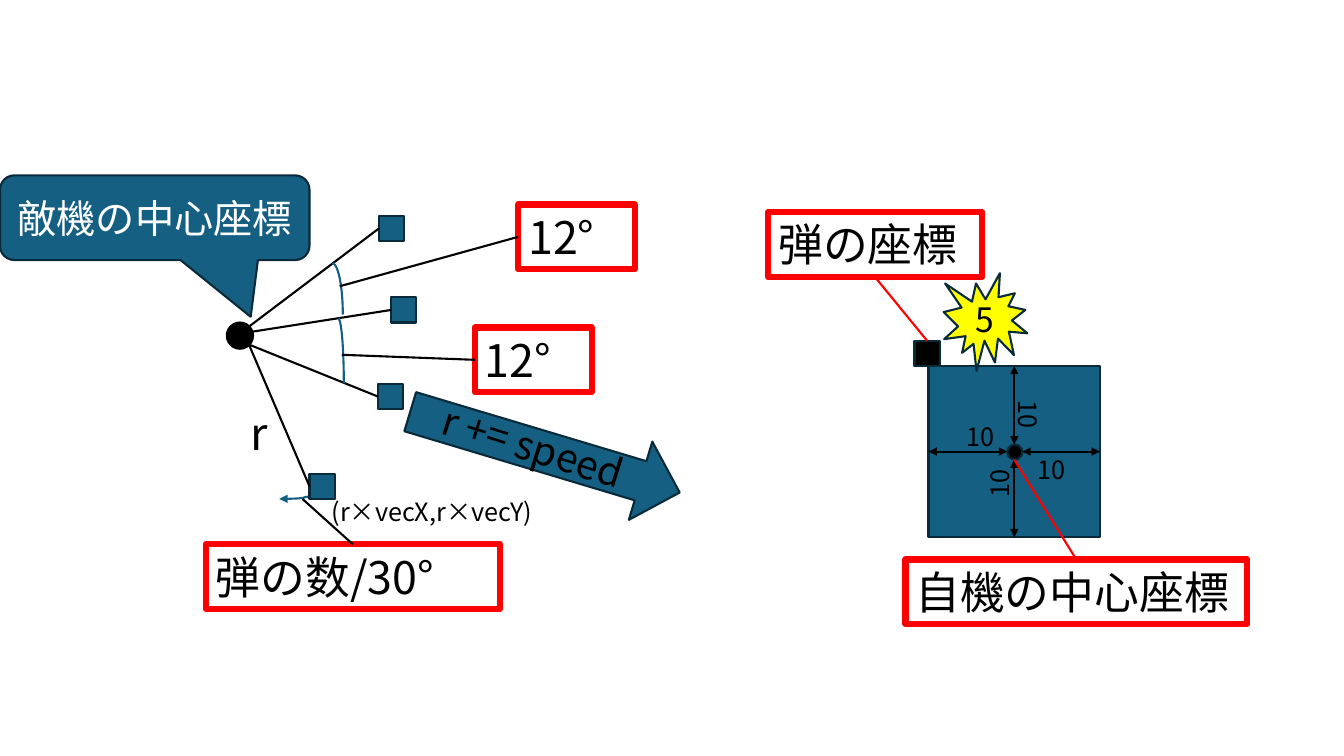
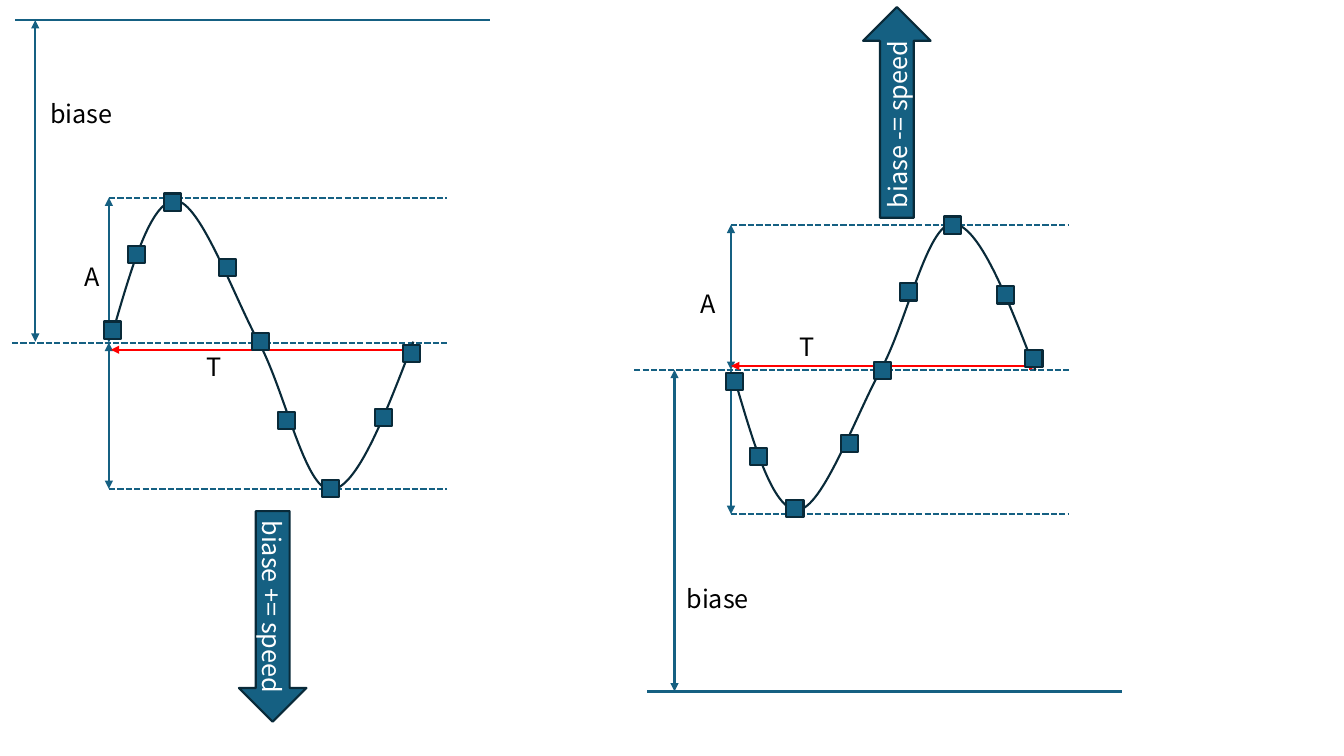
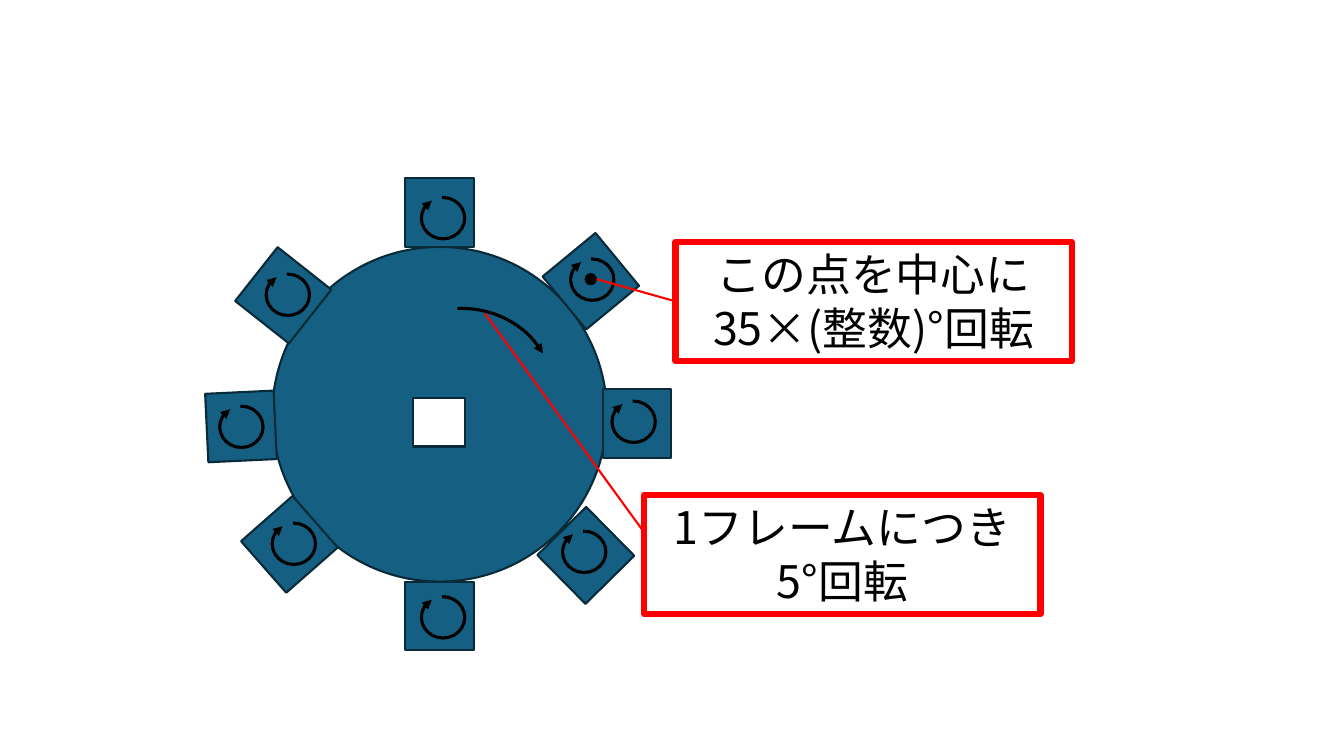
"""Three diagrams of bullet patterns: fan shot, sine wave and rotating wheel."""
from lxml import etree
from pptx import Presentation
from pptx.dml.color import RGBColor
from pptx.enum import dml, shapes, text
from pptx.oxml import ns
from pptx.util import Inches, Pt

TEAL = RGBColor(0x15, 0x60, 0x82)
NAVY = RGBColor(0x09, 0x2A, 0x39)
BLACK = RGBColor(0, 0, 0)
WHITE = RGBColor(255, 255, 255)
RED = RGBColor(255, 0, 0)
YELLOW = RGBColor(255, 255, 0)
FONT = "Noto Sans CJK JP"
KIND = shapes.MSO_SHAPE
CENTER = text.PP_ALIGN.CENTER
LEFT = text.PP_ALIGN.LEFT


def place(slide, kind, at, fill=TEAL, line=NAVY, width=1.5, rotation=0,
          label="", size=18, color=BLACK, align=CENTER):
    """Add a preset shape, or a text box when kind is None."""
    frame = [Inches(value) for value in at]
    if kind is None:
        item = slide.shapes.add_textbox(*frame)
    else:
        item = slide.shapes.add_shape(kind, *frame)
        item.shadow.inherit = False
    item.rotation = rotation
    if kind is None or fill is None:
        item.fill.background()
    else:
        item.fill.solid()
        item.fill.fore_color.rgb = fill
    if line is None:
        item.line.fill.background()
    else:
        item.line.color.rgb = line
        item.line.width = Pt(width)
    if label:
        body = item.text_frame
        body.text = label
        body.word_wrap = True
        if kind is None:
            body.auto_size = text.MSO_AUTO_SIZE.SHAPE_TO_FIT_TEXT
        else:
            body.vertical_anchor = text.MSO_ANCHOR.MIDDLE
        for paragraph in body.paragraphs:
            paragraph.alignment = align
            for run in paragraph.runs:
                run.font.size = Pt(size)
                run.font.color.rgb = color
                run.font.name = FONT
                etree.SubElement(run.font._element, ns.qn("a:ea"), typeface=FONT)
    return item


def link(slide, start, end, color=BLACK, ends=(), dashed=False,
         kind=shapes.MSO_CONNECTOR.STRAIGHT):
    """Add a connector; ends lists the arrowhead tags to put on it."""
    item = slide.shapes.add_connector(kind, *[Inches(v) for v in (*start, *end)])
    item.line.color.rgb = color
    item.line.width = Pt(1.5)
    if dashed:
        item.line.dash_style = dml.MSO_LINE.SQUARE_DOT
    outline = item.line._get_or_add_ln()
    for tag in ends:
        etree.SubElement(outline, ns.qn(tag), type="triangle")
    etree.SubElement(item._element.spPr, ns.qn("a:effectLst"))
    return item


TAIL = ("a:tailEnd",)
BOTH = ("a:headEnd", "a:tailEnd")

deck = Presentation()
deck.slide_width = Inches(13.33)
deck.slide_height = Inches(7.5)
fan, wave, wheel = [deck.slides.add_slide(deck.slide_layouts[6]) for _ in range(3)]

place(fan, KIND.OVAL, (2.25, 3.2, 0.26, 0.26), BLACK, BLACK)
link(fan, (3.27, 4.92), (2.77, 4.95), TEAL, TAIL, kind=shapes.MSO_CONNECTOR.CURVE)
for left, top, start in [
    (3.76, 2.14, (2.47, 3.24)),
    (3.88, 2.95, (2.25, 3.33)),
    (3.75, 3.81, (2.25, 3.33)),
    (3.07, 4.7, (2.47, 3.42)),
]:
    bullet = place(fan, KIND.RECTANGLE, (left, top, 0.25, 0.25))
    link(fan, start, (left, top + 0.12)).end_connect(bullet, 1)

for arc, start, left, top in [
    ((3.19, 2.61, 0.21, 1.02), (3.37, 2.84), 5.14, 2.03),
    ((3.3, 3.16, 0.11, 1.28), (3.39, 3.52), 4.71, 3.25),
]:
    place(fan, KIND.ARC, arc, None, TEAL)
    angle = place(fan, None, (left, top, 1.16, 0.64), line=RED, width=4.5,
                  label="12°", size=32, align=LEFT)
    link(fan, start, (left, top + 0.32)).end_connect(angle, 1)

spacing = place(fan, None, (2.04, 5.4, 2.92, 0.64), line=RED, width=4.5,
                label="弾の数/30°", size=32, align=LEFT)
link(fan, (3.5, 5.4), (3, 4.95)).begin_connect(spacing, 0)

enemy = place(fan, KIND.ROUNDED_RECTANGULAR_CALLOUT, (0, 1.74, 3.07, 0.84),
              label="敵機の中心座標", size=28, color=WHITE)
for index, value in enumerate((0.31, 1.17, 0.17)):
    enemy.adjustments[index] = value

place(fan, KIND.DOWN_ARROW, (5, 3.09, 0.81, 2.79), rotation=286.7)
for label, at, size, rotation in [
    ("r", (2.39, 3.98, 0.53, 0.64), 32, 0),
    ("r += speed", (4.26, 4.18, 2.28, 0.57), 28, 17.4),
    ("(r×vecX,r×vecY)", (3.19, 4.87, 2.36, 0.4), 18, 0),
]:
    place(fan, None, at, line=None, rotation=rotation, label=label, size=size, align=LEFT)

player = place(fan, KIND.RECTANGLE, (9.21, 3.63, 1.7, 1.7))
place(fan, KIND.OVAL, (9.99, 4.41, 0.15, 0.15), BLACK)
for side, edge, core, left, top, rotation in [
    (1, (9.21, 4.48), (9.99, 4.48), 9.49, 4.13, 0),
    (2, (10.06, 5.33), (10.06, 4.56), 9.67, 4.59, 270),
    (3, (10.91, 4.48), (10.14, 4.48), 10.19, 4.46, 0),
    (0, (10.06, 3.63), (10.06, 4.41), 9.96, 3.92, 90),
]:
    link(fan, edge, core, ends=BOTH).begin_connect(player, side)
    place(fan, None, (left, top, 0.49, 0.4), line=None, rotation=rotation,
          label="10", align=LEFT)

player_name = place(fan, None, (8.98, 5.55, 3.39, 0.64), line=RED, width=4.5,
                    label="自機の中心座標", size=32, align=LEFT)
link(fan, (10.06, 4.56), (10.68, 5.55), RED).end_connect(player_name, 0)
hit_bullet = place(fan, KIND.RECTANGLE, (9.07, 3.38, 0.25, 0.25), BLACK)
bullet_name = place(fan, None, (7.62, 2.1, 2.12, 0.65), line=RED, width=4.5,
                    label="弾の座標", size=32, align=LEFT)
pointer = link(fan, (8.68, 2.75), (9.19, 3.38), RED)
pointer.begin_connect(bullet_name, 2)
pointer.end_connect(hit_bullet, 0)
place(fan, KIND.EXPLOSION1, (9.36, 2.71, 0.83, 0.97), YELLOW, label="5", size=24)

CURVE = [
    (1.1, 3.36), (1.3, 2.67), (1.49, 1.99), (1.74, 1.99),
    (1.99, 2), (2.32, 2.95), (2.58, 3.42),
    (2.83, 3.9), (3.03, 4.86), (3.28, 4.86),
    (3.54, 4.85), (3.82, 4.12), (4.1, 3.39),
]
BULLETS = [(1.03, 3.19), (1.27, 2.44), (1.63, 1.92), (2.17, 2.57), (2.5, 3.3),
           (2.76, 4.09), (3.19, 4.76), (3.72, 4.06), (4, 3.42)]
SIDE = 0.17

for shift, origin, stretch, peaks, period in [
    (0, 0, 1, (1.96, 3.4, 4.85), ((4.14, 3.47), (1.1, 3.47))),
    (6.17, 7.03, -0.99, (5.1, 3.67, 2.23), ((10.29, 3.63), (7.25, 3.63))),
]:
    axis_left = 1.08 + shift
    for left, level in zip((1.08, 0.12, 1.08), peaks):
        link(wave, (left + shift, level), (4.43 + shift, level), TEAL, dashed=True)
    for start, end in zip(peaks, peaks[1:]):
        link(wave, (axis_left, start), (axis_left, end), TEAL, BOTH)
    link(wave, *period, RED, BOTH)
    knots = [(Inches(x + shift), Inches(origin + stretch * y)) for x, y in CURVE]
    builder = wave.shapes.build_freeform(*knots[0])
    builder.add_line_segments(knots[1:], close=False)
    sine = builder.convert_to_shape()
    segments = list(sine._element.iter(ns.qn("a:lnTo")))
    for first, second, third in zip(segments[::3], segments[1::3], segments[2::3]):
        bend = etree.Element(ns.qn("a:cubicBezTo"))
        first.addprevious(bend)
        for segment in (first, second, third):
            bend.append(segment[0])
            segment.getparent().remove(segment)
    sine.shadow.inherit = False
    sine.fill.background()
    sine.line.color.rgb = NAVY
    sine.line.width = Pt(1.5)
    for x, y in BULLETS:
        top = origin + stretch * (y + SIDE / 2) - SIDE / 2
        place(wave, KIND.RECTANGLE, (x + shift, top, SIDE, SIDE))

for left, right, x, level, axis in [
    (0.15, 4.86, 0.35, 0.2, 3.39),
    (6.42, 11.13, 6.69, 6.86, 3.67),
]:
    link(wave, (left, level), (right, level), TEAL)
    link(wave, (x, min(level, axis)), (x, max(level, axis)), TEAL, BOTH)

for left, top, turn, label, label_left, label_top, label_turn in [
    (2.37, 5.07, 0, "biase += speed", 1.66, 5.91, 90),
    (8.56, 0.07, 180, "biase -= speed", 7.86, 0.92, 270),
]:
    place(wave, KIND.DOWN_ARROW, (left, top, 0.67, 2.09), rotation=turn)
    place(wave, None, (label_left, label_top, 2.09, 0.4), line=None,
          rotation=label_turn, label=label, color=WHITE, align=LEFT)

for label, left, top, width in [
    ("biase", 0.4, 0.93, 0.85), ("biase", 6.71, 5.74, 0.85),
    ("A", 0.74, 2.54, 0.27), ("A", 6.85, 2.81, 0.32),
    ("T", 1.95, 3.44, 0.32), ("T", 7.83, 3.24, 0.32),
]:
    place(wave, None, (left, top, width, 0.4), line=None, label=label, align=LEFT)

place(wheel, KIND.OVAL, (2.7, 2.45, 3.32, 3.32))
spins = [((3.66, 3.06, 1.84, 1.73), 199.56)]
for left, top, turn, spin_left, spin_top in [
    (2.47, 2.59, 308.3, 2.64, 2.72),
    (2.05, 3.89, 267.3, 2.18, 4.03),
    (2.53, 5.06, 228.7, 2.7, 5.19),
    (4.02, 5.77, 180, 4.18, 5.92),
    (5.47, 5.17, 135.4, 5.58, 5.27),
    (4.02, 1.77, 0, 4.18, 1.96),
    (5.52, 2.45, 50.5, 5.66, 2.57),
    (5.98, 3.86, 270, 6.07, 3.98),
]:
    place(wheel, KIND.RECTANGLE, (left, top, 0.68, 0.68), rotation=turn)
    spins.append(((spin_left, spin_top, 0.43, 0.41), 142.55))
place(wheel, KIND.FLOWCHART_PROCESS, (4.1, 3.95, 0.51, 0.48), WHITE)
for at, finish in spins:
    spin = place(wheel, KIND.ARC, at, None, BLACK, 2.25)
    spin.adjustments[0] = 160.26
    spin.adjustments[1] = finish
    etree.SubElement(spin.line._get_or_add_ln(), ns.qn("a:tailEnd"), type="triangle")

place(wheel, KIND.OVAL, (5.81, 2.72, 0.1, 0.1), BLACK, BLACK)
pivot_note, frame_note = [
    place(wheel, None, (left, top, 3.93, 1.18), line=RED, width=4.5, label=label, size=32)
    for left, top, label in [
        (6.7, 2.4, "この点を中心に\n35×(整数)°回転"),
        (6.39, 4.91, "1フレームにつき5°回転"),
    ]
]
link(wheel, (5.92, 2.77), (6.7, 2.99), RED).end_connect(pivot_note, 1)
link(wheel, (4.81, 3.11), (6.38, 5.27), RED)

deck.save("out.pptx")
